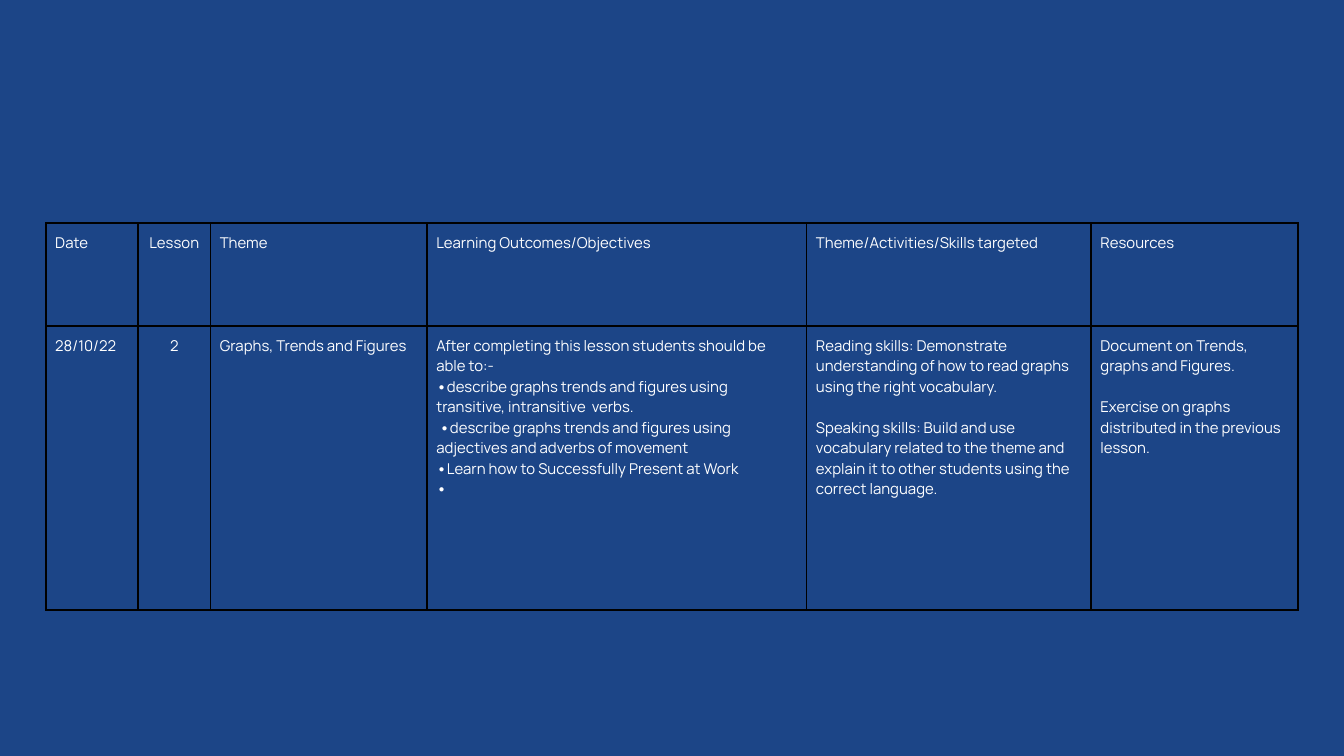
from pptx import Presentation
from pptx.dml.color import RGBColor
from pptx.enum import text
from pptx.oxml import ns
from pptx.util import Pt
from lxml import etree

NAVY = RGBColor(0x1C, 0x45, 0x87)
WHITE = RGBColor(0xFF, 0xFF, 0xFF)
BLACK = RGBColor(0, 0, 0)

FONT = "Manrope"
FONT_SIZE = 8
CELL_MARGIN = 5
SKILL_GAP = 11
BULLET = "•"

COLUMN_WIDTHS = [49.4, 38.8, 116, 203.4, 152.4, 110.8]
ROW_HEIGHTS = [55.3, 152]
LESSON_COLUMN = 1
GAPPED_COLUMNS = (4, 5)

# Each cell is a list of paragraphs
HEADINGS = [
    ["Date"],
    ["Lesson"],
    ["Theme"],
    ["Learning Outcomes/Objectives"],
    ["Theme/Activities/Skills targeted"],
    ["Resources"],
]
LESSON = [
    ["28/10/22"],
    ["2"],
    ["Graphs, Trends and Figures"],
    [
        "After completing this lesson students should be able to:-",
        "•describe graphs trends and figures using transitive, intransitive  verbs.",
        " •describe graphs trends and figures using adjectives and adverbs of movement",
        "•Learn how to Successfully Present at Work",
        "•",
    ],
    [
        "Reading skills: Demonstrate understanding of how to read graphs "
        "using the right vocabulary.",
        "Speaking skills: Build and use vocabulary related to the theme and "
        "explain it to other students using the correct language.",
    ],
    [
        "Document on Trends, graphs and Figures.",
        "Exercise on graphs distributed in the previous lesson.",
    ],
]


def add_borders(cell):
    """Draw a thin black line on all four sides of a cell."""
    properties = cell._tc.get_or_add_tcPr()
    for index, side in enumerate(("lnL", "lnR", "lnT", "lnB")):
        line = etree.Element(ns.qn(f"a:{side}"), w=str(Pt(1)))
        fill = etree.SubElement(line, ns.qn("a:solidFill"))
        etree.SubElement(fill, ns.qn("a:srgbClr"), val=str(BLACK))
        properties.insert(index, line)


def write_paragraph(para, wording):
    """Write one paragraph, with any bullet sign in bold."""
    for piece in wording.partition(BULLET):
        if piece:
            span = para.add_run()
            span.text = piece
            span.font.name = FONT
            span.font.size = Pt(FONT_SIZE)
            span.font.bold = piece == BULLET
            span.font.color.rgb = WHITE


def fill_cell(cell, paragraphs, align, gap):
    cell.fill.background()
    add_borders(cell)
    cell.margin_left = cell.margin_right = Pt(CELL_MARGIN)
    cell.margin_top = cell.margin_bottom = Pt(CELL_MARGIN)
    cell.vertical_anchor = text.MSO_ANCHOR.TOP
    frame = cell.text_frame
    for index, wording in enumerate(paragraphs):
        para = frame.add_paragraph() if index else frame.paragraphs[0]
        para.alignment = align
        para.space_before = Pt(gap if index else 0)
        write_paragraph(para, wording)


def add_lesson_plan(slide, left, top):
    """Place the lesson plan table with its top left corner at the given point."""
    rows = [HEADINGS, LESSON]
    table = slide.shapes.add_table(
        len(rows), len(COLUMN_WIDTHS), Pt(left), Pt(top),
        Pt(sum(COLUMN_WIDTHS)), Pt(sum(ROW_HEIGHTS))).table
    table.first_row = table.horz_banding = False
    for column, width in zip(table.columns, COLUMN_WIDTHS):
        column.width = Pt(width)
    for row, height in zip(table.rows, ROW_HEIGHTS):
        row.height = Pt(height)

    for row_index, row in enumerate(rows):
        for column_index, paragraphs in enumerate(row):
            centred = column_index == LESSON_COLUMN
            align = text.PP_ALIGN.CENTER if centred else text.PP_ALIGN.LEFT
            gap = SKILL_GAP if column_index in GAPPED_COLUMNS else 0
            fill_cell(table.cell(row_index, column_index), paragraphs, align, gap)


def main():
    deck = Presentation()
    deck.slide_width, deck.slide_height = Pt(720), Pt(405)
    slide = deck.slides.add_slide(deck.slide_layouts[6])

    # Background
    slide.background.fill.solid()
    slide.background.fill.fore_color.rgb = NAVY

    # Lesson plan
    add_lesson_plan(slide, left=24.6, top=119.5)
    deck.save("out.pptx")


if __name__ == "__main__":
    main()
